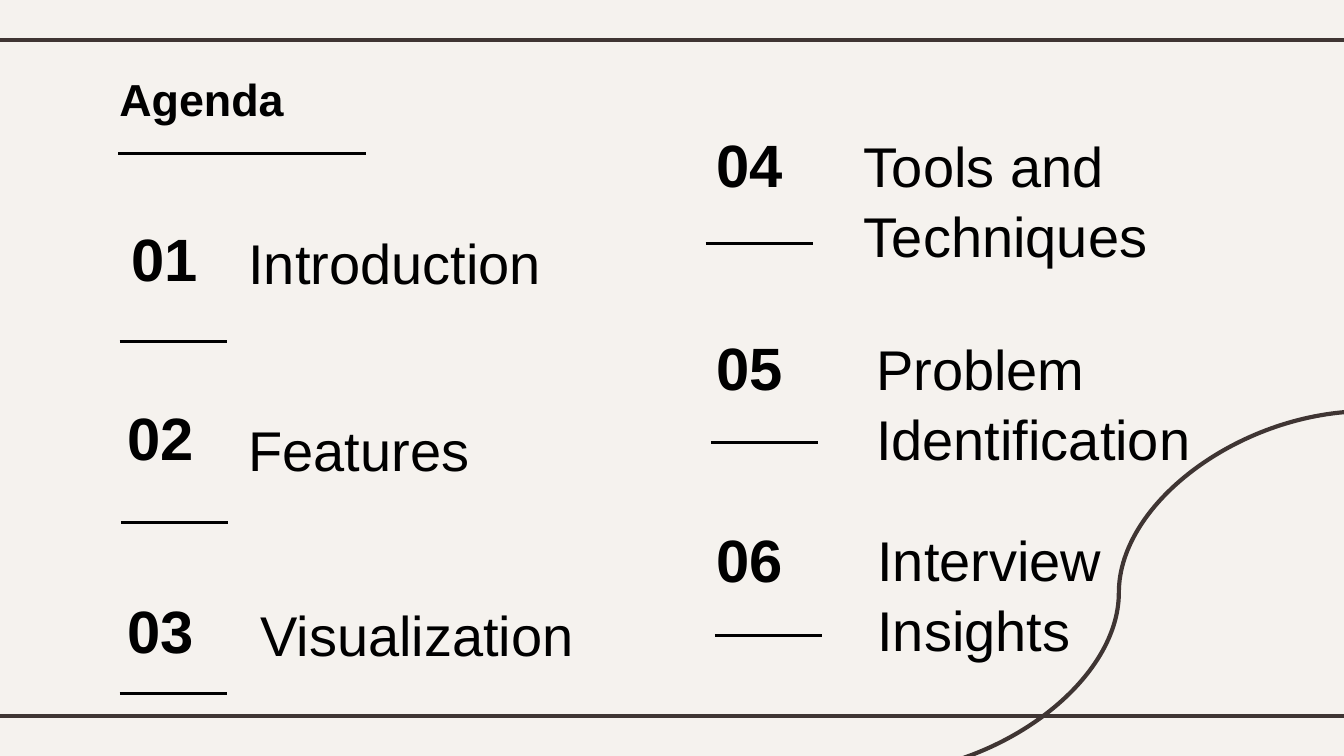
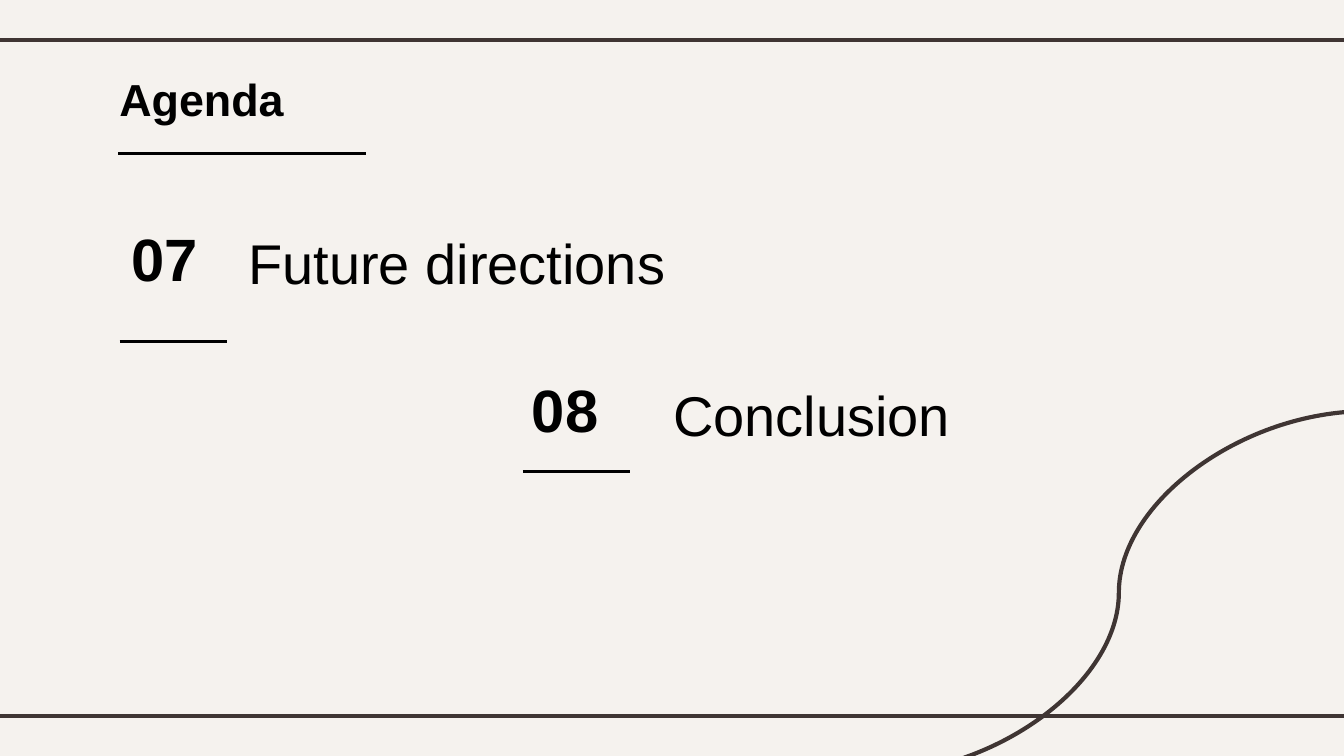
from dataclasses import dataclass

from lxml.etree import SubElement
from pptx import Presentation
from pptx.dml.color import RGBColor
from pptx.enum.shapes import MSO_CONNECTOR
from pptx.enum.text import PP_ALIGN
from pptx.oxml.ns import qn
from pptx.util import Inches, Pt

COLUMNS, ROWS = 100, 56.25
CELL = Inches(0.1)
FONT = "Arial"
CREAM = RGBColor(0xF5, 0xF2, 0xEE)
BROWN = RGBColor(0x3F, 0x35, 0x33)
BLACK = RGBColor(0x00, 0x00, 0x00)


@dataclass
class Entry:
    """An agenda item: its number box corner, then label and rule offsets from it, in cells."""
    number: str
    topic: str
    corner: tuple
    label_offset: tuple
    rule_offset: tuple


FIRST_PLACE = ((5, 15.1), (12.5, 0.5), (3.9, 10.3))
AGENDA = [
    [
        Entry("01", "Introduction", *FIRST_PLACE),
        Entry("02", "Features", (4.7, 28.4), (12.8, 1.1), (4.3, 10.5)),
        Entry("03", "Visualization", (4.7, 42.8), (13.7, 0.5), (4.2, 8.8)),
        Entry("04", "Tools and Techniques", (48.5, 8.1), (14.8, 0.3), (4, 10)),
        Entry("05", "Problem Identification", (48.5, 23.2), (15.7, 0.3), (4.4, 9.7)),
        Entry("06", "Interview Insights", (48.5, 37.5), (15.8, 0.2), (4.7, 9.8)),
    ],
    [
        Entry("07", "Future directions", *FIRST_PLACE),
        Entry("08", "Conclusion", (34.8, 26.3), (14.3, 0.6), (4.1, 8.8)),
    ],
]


def cells(*counts):
    """Turn grid counts into slide lengths."""
    return [round(count * CELL) for count in counts]


def add_line(slide, start, end, color, weight, kind=MSO_CONNECTOR.STRAIGHT):
    """Draw a shadowless line between two grid points."""
    line = slide.shapes.add_connector(kind, *cells(*start, *end))
    line.line.color.rgb = color
    line.line.width = Pt(weight)
    SubElement(line._element.spPr, qn("a:effectLst"))


def add_text(slide, box, words, size, bold=False, align=PP_ALIGN.LEFT):
    """Place one paragraph in a grid box."""
    frame = slide.shapes.add_textbox(*cells(*box)).text_frame
    frame.word_wrap = True
    frame.margin_left = frame.margin_right = frame.margin_bottom = CELL
    frame.margin_top = Inches(0.12)
    paragraph = frame.paragraphs[0]
    paragraph.alignment = align
    paragraph.line_spacing = 1.04
    run = paragraph.add_run()
    run.text = words
    run.font.name = FONT
    run.font.size = Pt(size)
    run.font.bold = bold
    run.font.color.rgb = BLACK


def add_backdrop(slide):
    """Fill the background and draw the two bands and the curve."""
    slide.background.fill.solid()
    slide.background.fill.fore_color.rgb = CREAM
    for row in (3, 53.3):
        add_line(slide, (-0.8, row), (COLUMNS + 0.8, row), BROWN, 2.25)
    add_line(slide, (101.7, 30.6), (64.8, 57.6), BROWN, 2.25, MSO_CONNECTOR.CURVE)


def add_heading(slide, left, top):
    """Write the underlined slide title."""
    add_text(slide, (left, top, 21.7, 6.3), "Agenda", 24, bold=True)
    rule_left, rule_top = left + 0.9, top + 7.4
    add_line(slide, (rule_left, rule_top), (rule_left + 18.4, rule_top), BLACK, 1.5)


def add_entry(slide, entry):
    """Place a number, its topic and its rule relative to the entry's corner."""
    left, top = entry.corner
    label_x, label_y = entry.label_offset
    rule_left, rule_top = left + entry.rule_offset[0], top + entry.rule_offset[1]
    add_text(slide, (left + label_x, top + label_y, 33.5, 5.8), entry.topic, 30)
    add_text(slide, (left, top, 14.5, 11.2), entry.number, 32, True, PP_ALIGN.CENTER)
    add_line(slide, (rule_left, rule_top), (rule_left + 8, rule_top), BLACK, 1.5)


def add_agenda_slide(deck, entries):
    """Build one agenda slide."""
    slide = deck.slides.add_slide(deck.slide_layouts[6])
    add_backdrop(slide)
    add_heading(slide, 7.9, 4)
    for entry in entries:
        add_entry(slide, entry)


def main():
    """Build and save the deck."""
    deck = Presentation()
    deck.slide_width, deck.slide_height = cells(COLUMNS, ROWS)
    for entries in AGENDA:
        add_agenda_slide(deck, entries)
    deck.save("out.pptx")


if __name__ == "__main__":
    main()
